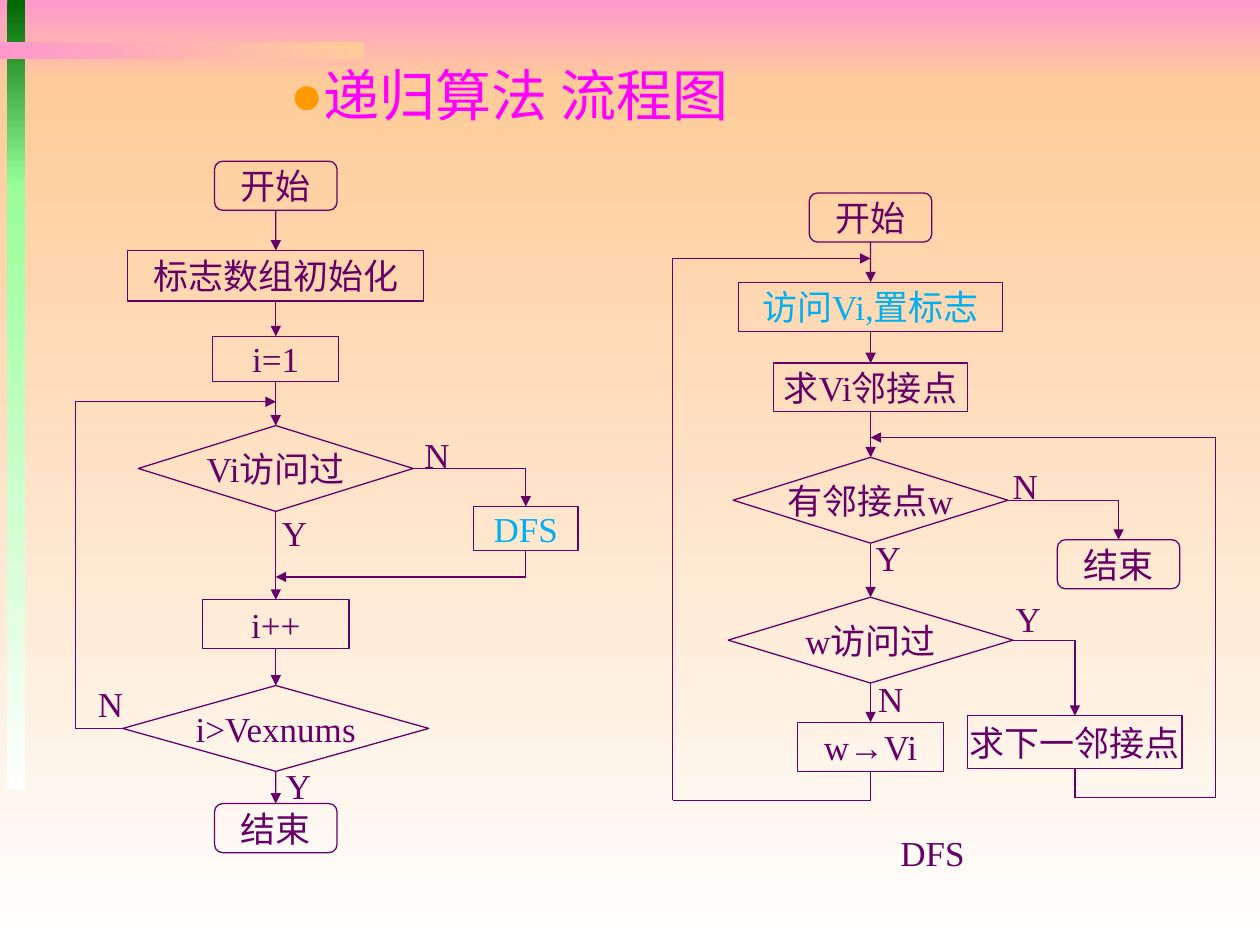
from lxml import etree
from pptx import Presentation
from pptx.dml.color import RGBColor
from pptx.enum.shapes import MSO_CONNECTOR, MSO_SHAPE
from pptx.enum.text import MSO_ANCHOR, MSO_AUTO_SIZE, PP_ALIGN
from pptx.oxml.ns import qn
from pptx.util import Cm, Pt

RECT = MSO_SHAPE.RECTANGLE
TERMINAL = MSO_SHAPE.FLOWCHART_ALTERNATE_PROCESS
PROCESS = MSO_SHAPE.FLOWCHART_PROCESS
DECISION = MSO_SHAPE.FLOWCHART_DECISION
STRAIGHT = MSO_CONNECTOR.STRAIGHT
CENTER, MIDDLE = PP_ALIGN.CENTER, MSO_ANCHOR.MIDDLE
NO_FIT, GROW = MSO_AUTO_SIZE.NONE, MSO_AUTO_SIZE.SHAPE_TO_FIT_TEXT
TOP, LEFT, BOTTOM, RIGHT = range(4)
AXIS = 4.04

COLORS = {
    "ink": "660066", "accent": "00B0F0", "title": "FF00FF", "bullet": "FF9900",
    "pink": "FF99CC", "peach": "FFCC99", "white": "FFFFFF",
    "green": "006600", "mint": "99FF99",
}

BANDS = [
    ((0, 0, 25.4, 1.7), "pink", "peach", 270),
    ((0, 1.7, 25.4, 17.35), "peach", "white", 270),
    ((0.15, 0, 0.36, 3.76), "green", "mint", 270),
    ((0.15, 3.71, 0.36, 12.22), "mint", "white", 270),
    ((0, 0.84, 7.34, 0.36), "pink", "peach", 0),
]

MAIN_CHART = {
    "nodes": {
        "start": (TERMINAL, "开始", AXIS, 0, 2.47, 0.99, "ink"),
        "init": (PROCESS, "标志数组初始化", AXIS, 1.8, 5.97, 1.02, "ink"),
        "first": (PROCESS, "i=1", AXIS, 3.53, 2.54, 0.91, "ink"),
        "visited": (DECISION, "Vi访问过", AXIS, 5.33, 5.54, 1.73, "ink"),
        "dfs": (PROCESS, "DFS", 9.08, 6.96, 2.11, 0.89, "accent"),
        "next": (PROCESS, "i++", AXIS, 8.84, 2.95, 0.99, "ink"),
        "done": (DECISION, "i>Vexnums", AXIS, 10.57, 6.17, 1.73, "ink"),
        "end": (TERMINAL, "结束", AXIS, 12.95, 2.47, 0.99, "ink"),
    },
    "spine": ["start", "init", "first", "visited", "next", "done", "end"],
    "routes": [
        [("visited", RIGHT), (9.08, None), ("dfs", TOP)],
        [("dfs", BOTTOM), (None, 8.38), (AXIS, None)],
        [("done", LEFT), (0, None), (None, 4.85), (AXIS, None)],
    ],
    "labels": [("N", 6.78, 5.36), ("N", 0.2, 10.39), ("Y", 3.91, 6.93), ("Y", 3.99, 12.04)],
}

DFS_CHART = {
    "nodes": {
        "start": (TERMINAL, "开始", AXIS, 0, 2.47, 0.99, "ink"),
        "visit": (PROCESS, "访问Vi,置标志", AXIS, 1.8, 5.33, 0.99, "accent"),
        "find": (PROCESS, "求Vi邻接点", AXIS, 3.43, 3.91, 0.97, "ink"),
        "has": (DECISION, "有邻接点w", AXIS, 5.33, 5.54, 1.73, "ink"),
        "next": (PROCESS, "求下一邻接点", 8.16, 10.54, 4.32, 1.07, "ink"),
        "assign": (PROCESS, "w→Vi", AXIS, 10.67, 2.95, 0.99, "ink"),
        "visited": (DECISION, "w访问过", AXIS, 8.15, 5.74, 1.73, "ink"),
        "end": (TERMINAL, "结束", 9.04, 6.99, 2.47, 0.99, "ink"),
    },
    "spine": ["start", "visit", "find", "has", "visited", "assign"],
    "routes": [
        [("has", RIGHT), (9.04, None), ("end", TOP)],
        [("visited", RIGHT), (8.16, None), ("next", TOP)],
        [("next", BOTTOM), (None, 12.19), (11, None), (None, 4.93), (AXIS, None)],
        [("assign", BOTTOM), (None, 12.24), (0.05, None), (None, 1.32), (AXIS, None)],
    ],
    "labels": [("N", 6.65, 5.36), ("Y", 3.89, 6.81), ("N", 3.94, 9.65),
               ("Y", 6.71, 8.03), ("DFS", 4.39, 12.75)],
}


def rgb(name):
    """Return the named palette colour."""
    return RGBColor.from_string(COLORS[name])


def style_text(shape, text, color):
    """Write one centred line of chart text."""
    tf = shape.text_frame
    tf.text = text
    tf.word_wrap = False
    tf.vertical_anchor = MIDDLE
    p = tf.paragraphs[0]
    p.alignment = CENTER
    font = p.runs[0].font
    font.name, font.size = "Times New Roman", Pt(20)
    font.color.rgb = rgb(color)


def add_background(s):
    """Lay the gradient bands behind the content."""
    for box, first, last, angle in BANDS:
        band = s.shapes.add_shape(RECT, *map(Cm, box))
        band.shadow.inherit = False
        band.line.fill.background()
        band.fill.gradient()
        band.fill.gradient_angle = angle
        for stop, name in zip(band.fill.gradient_stops, (first, last)):
            stop.color.rgb = rgb(name)


def add_heading(s, text, box):
    """Fill the body placeholder with the bulleted heading."""
    body = s.placeholders[1]
    body.left, body.top, body.width, body.height = map(Cm, box)
    tf = body.text_frame
    tf.text = text
    tf.auto_size = NO_FIT
    p = tf.paragraphs[0]
    p.level, p.line_spacing, p.space_before = 3, 0.9, Pt(6.4)
    font = p.runs[0].font
    font.name, font.size = "Arial", Pt(32)
    font.color.rgb = rgb("title")
    pPr = p._p.get_or_add_pPr()
    pPr.set("marL", str(Cm(4.45)))
    pPr.set("indent", str(-Cm(0.64)))
    color = etree.SubElement(pPr, qn("a:buClr"))
    etree.SubElement(color, qn("a:srgbClr"), val=COLORS["bullet"])
    etree.SubElement(pPr, qn("a:buChar"), char="●")
    s.shapes._spTree.append(body._element)


def add_node(shapes, left, top, node):
    """Add a flowchart node centred on its own axis."""
    kind, text, cx, y, w, h, color = node
    sp = shapes.add_shape(kind, left + Cm(cx - w / 2), top + Cm(y), Cm(w), Cm(h))
    sp.shadow.inherit = False
    sp.fill.background()
    sp.line.color.rgb = rgb("ink")
    sp.line.width = Pt(0.75)
    style_text(sp, text, color)
    return sp


def site_point(sp, site):
    """Return the middle of one side of a shape."""
    x = {LEFT: 0, RIGHT: sp.width}.get(site, sp.width // 2)
    y = {TOP: 0, BOTTOM: sp.height}.get(site, sp.height // 2)
    return sp.left + x, sp.top + y


def add_route(shapes, left, top, nodes, stops):
    """Draw straight segments through the stops, with an arrowhead on the last."""
    points = []
    for a, b in stops:
        if a in nodes:
            points.append(site_point(nodes[a], b))
        else:
            points.append((points[-1][0] if a is None else left + Cm(a),
                           points[-1][1] if b is None else top + Cm(b)))
    for i, (start, end) in enumerate(zip(points, points[1:])):
        line = shapes.add_connector(STRAIGHT, *start, *end)
        line.line.color.rgb = rgb("ink")
        line.line.width = Pt(0.75)
        if stops[i][0] in nodes:
            line.begin_connect(nodes[stops[i][0]], stops[i][1])
        if stops[i + 1][0] in nodes:
            line.end_connect(nodes[stops[i + 1][0]], stops[i + 1][1])
        if i == len(points) - 2:
            etree.SubElement(line.line._get_or_add_ln(), qn("a:tailEnd"), type="triangle")
        etree.SubElement(line._element.spPr, qn("a:effectLst"))


def add_flowchart(s, chart, left, top):
    """Build one grouped flowchart from the corner of its box."""
    shapes = s.shapes.add_group_shape().shapes
    nodes = {name: add_node(shapes, left, top, node)
             for name, node in chart["nodes"].items()}
    spine = chart["spine"]
    links = [[(a, BOTTOM), (b, TOP)] for a, b in zip(spine, spine[1:])]
    for stops in links + chart["routes"]:
        add_route(shapes, left, top, nodes, stops)
    for text, x, y in chart["labels"]:
        width = Cm(1.02 if len(text) == 1 else 1.8)
        label = shapes.add_textbox(left + Cm(x), top + Cm(y), width, Cm(1.09))
        style_text(label, text, "ink")
        label.text_frame.auto_size = GROW


def main():
    """Build the slide and save it."""
    prs = Presentation()
    prs.slide_width, prs.slide_height = Cm(25.4), Cm(19.05)
    s = prs.slides.add_slide(prs.slide_layouts[1])
    title = s.shapes.title._element
    title.getparent().remove(title)
    add_background(s)
    add_heading(s, "递归算法 流程图", (1.78, 1.24, 23.62, 2.13))
    add_flowchart(s, DFS_CHART, Cm(13.51), Cm(3.89))
    add_flowchart(s, MAIN_CHART, Cm(1.52), Cm(3.25))
    prs.save("out.pptx")


if __name__ == "__main__":
    main()
